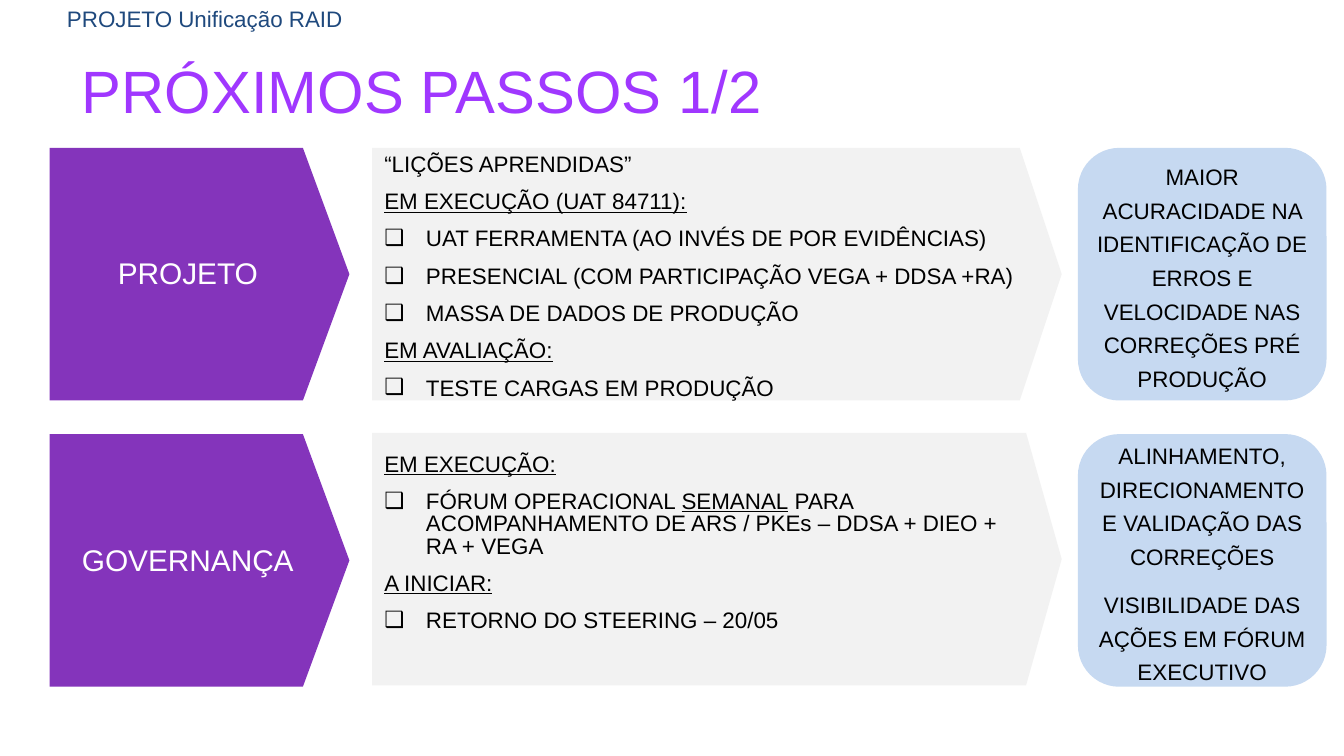
from lxml import etree
from pptx import Presentation
from pptx.dml.color import RGBColor
from pptx.enum.shapes import MSO_SHAPE as SHAPE
from pptx.enum.text import MSO_ANCHOR as ANCHOR, MSO_AUTO_SIZE as AUTOSIZE, PP_ALIGN as ALIGN
from pptx.oxml.ns import qn
from pptx.util import Pt

PX = 4572  # 200 px to the inch
PURPLE, GREY, BLUE = "8434BB", "F2F2F2", "C6D9F1"


def px(*values):
    return [v * PX for v in values]


def rgb(hex_color):
    return RGBColor.from_string(hex_color)


def add_bullet(p, char="❑", indent=62):
    pPr = p._p.get_or_add_pPr()
    pPr.set("marL", str(indent * PX))
    pPr.set("indent", str(-indent * PX))
    etree.SubElement(pPr, qn("a:buFont")).set("typeface", "Arial")
    etree.SubElement(pPr, qn("a:buChar")).set("char", char)


def write(tf, paragraphs, size=12, color="000000", align=ALIGN.LEFT,
          anchor=ANCHOR.TOP, line=None, before=0, inset=0):
    """Each paragraph is a string; "- " opens a bullet and _.._ underlines."""
    tf.word_wrap = True
    tf.auto_size = AUTOSIZE.NONE
    tf.vertical_anchor = anchor
    if inset is not None:
        tf.margin_left = tf.margin_right = tf.margin_top = tf.margin_bottom = inset
    for i, text in enumerate(paragraphs):
        p = tf.add_paragraph() if i else tf.paragraphs[0]
        p.alignment = align
        p.space_before = Pt(before if i else 0)
        if line:
            p.line_spacing = Pt(line)
        if text.startswith("- "):
            add_bullet(p)
            text = text[2:]
        for j, part in enumerate(text.split("_")):
            if part:
                r = p.add_run()
                r.text = part
                r.font.name, r.font.size = "Arial", Pt(size)
                r.font.color.rgb = rgb(color)
                r.font.underline = j % 2 == 1


def add_box(slide, kind, box, fill, adj=None):
    sp = slide.shapes.add_shape(kind, *px(*box))
    sp.shadow.inherit = False
    sp.fill.solid()
    sp.fill.fore_color.rgb = rgb(fill)
    sp.line.fill.background()
    if adj:
        sp.adjustments[0] = adj
    return sp


def add_header(slide, left, top):
    # Project name above the title
    tb = slide.shapes.add_textbox(*px(left, top, 788, 48))
    write(tb.text_frame, ["PROJETO Unificação RAID"], color="1F497D",
          anchor=ANCHOR.MIDDLE, inset=None)
    # Title
    title = slide.shapes.title
    title.left, title.top, title.width, title.height = px(left + 22, top + 56, 1228, 172)
    write(title.text_frame, ["PRÓXIMOS PASSOS 1/2"], size=32, color="A037FF",
          line=42, inset=None)


def add_row(slide, box, label, steps, benefits, step_adj, step_top, text_top):
    left, top, width, height = box
    centred = dict(align=ALIGN.CENTER, anchor=ANCHOR.MIDDLE, line=18, before=8)
    # Topic arrow
    sp = add_box(slide, SHAPE.PENTAGON, (left, top, 446, height), PURPLE, 0.184)
    write(sp.text_frame, [label], size=16, color="FFFFFF", **centred)
    # Steps
    add_box(slide, SHAPE.PENTAGON, (left + 480, top + step_top, 1026, height),
            GREY, step_adj)
    tb = slide.shapes.add_textbox(*px(left + 498, top + text_top, 952, 312))
    write(tb.text_frame, steps, line=12, before=8)
    # Benefits
    sp = add_box(slide, SHAPE.FLOWCHART_ALTERNATE_PROCESS,
                 (left + width - 370, top, 370, height), BLUE)
    write(sp.text_frame, benefits, **centred)


ROWS = [
    dict(label="PROJETO", step_adj=0.166, step_top=0, text_top=10,
         steps=["“LIÇÕES APRENDIDAS”",
                "_EM EXECUÇÃO (UAT 84711):_",
                "- UAT FERRAMENTA (AO INVÉS DE POR EVIDÊNCIAS)",
                "- PRESENCIAL (COM PARTICIPAÇÃO VEGA + DDSA +RA)",
                "- MASSA DE DADOS DE PRODUÇÃO",
                "_EM AVALIAÇÃO:_",
                "- TESTE CARGAS EM PRODUÇÃO"],
         benefits=["MAIOR ACURACIDADE NA IDENTIFICAÇÃO DE ERROS E "
                   "VELOCIDADE NAS CORREÇÕES PRÉ PRODUÇÃO"]),
    dict(label="GOVERNANÇA", step_adj=0.141, step_top=-2, text_top=30,
         steps=["_EM EXECUÇÃO:_",
                "- FÓRUM OPERACIONAL _SEMANAL_ PARA ACOMPANHAMENTO DE "
                "ARS / PKEs – DDSA + DIEO + RA + VEGA",
                "_A INICIAR:_",
                "- RETORNO DO STEERING – 20/05"],
         benefits=["ALINHAMENTO, DIRECIONAMENTO E VALIDAÇÃO DAS CORREÇÕES",
                   "VISIBILIDADE DAS AÇÕES EM FÓRUM EXECUTIVO"]),
]


def main():
    prs = Presentation()
    prs.slide_width, prs.slide_height = px(2000, 1125)
    slide = prs.slides.add_slide(prs.slide_layouts[5])
    add_header(slide, 80, 4)
    for i, row in enumerate(ROWS):
        add_row(slide, (74, 220 + i * 426, 1900, 376), **row)
    prs.save("out.pptx")


if __name__ == "__main__":
    main()
